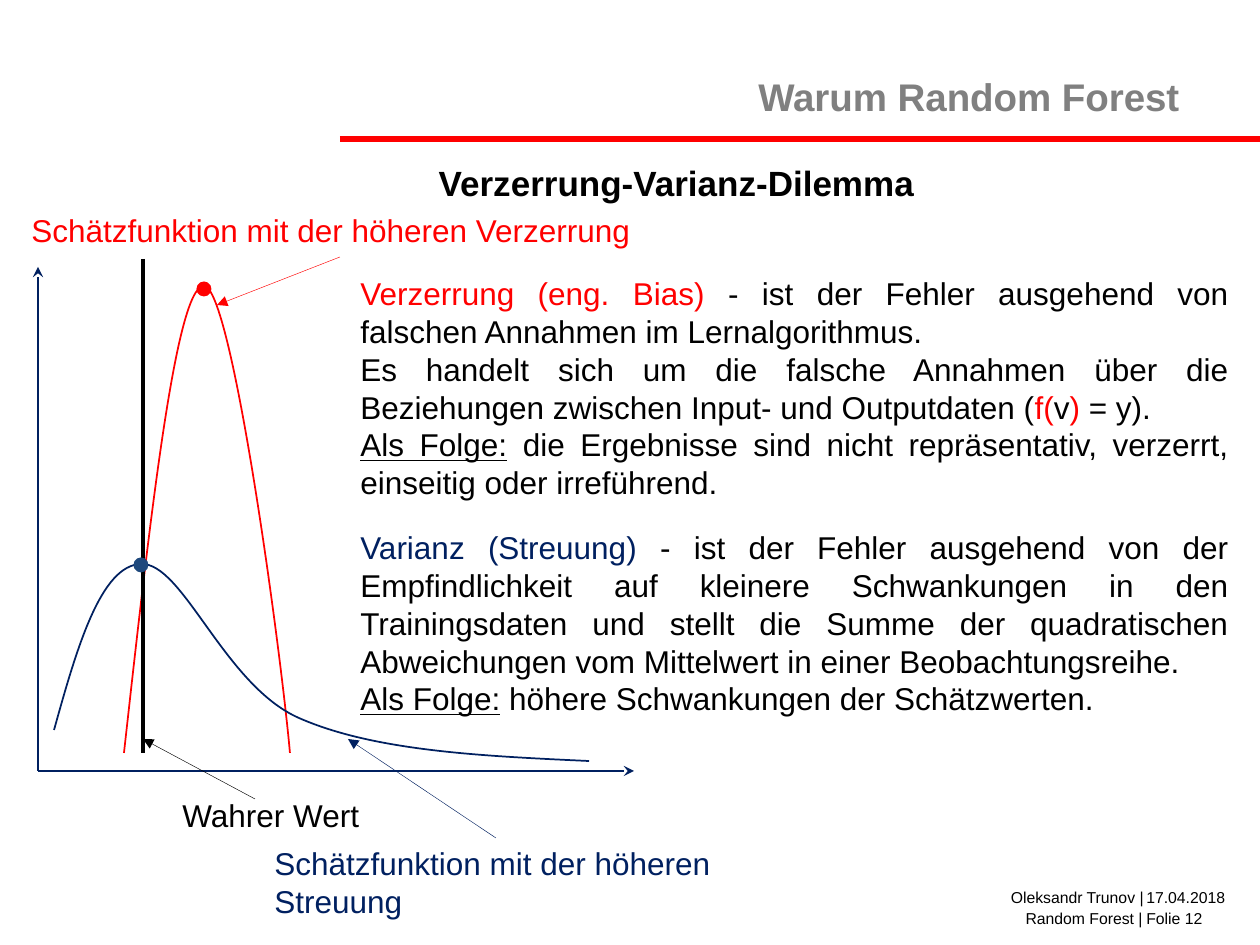
"""Build the slide on the bias-variance dilemma."""
from lxml import etree
from pptx import Presentation
from pptx.dml.color import RGBColor
from pptx.enum.shapes import MSO_CONNECTOR, MSO_SHAPE
from pptx.enum.text import MSO_ANCHOR, PP_ALIGN
from pptx.oxml.ns import qn
from pptx.util import Pt

PX = 914400 / 126
LEFT, RIGHT, CENTER, JUSTIFY = PP_ALIGN.LEFT, PP_ALIGN.RIGHT, PP_ALIGN.CENTER, PP_ALIGN.JUSTIFY
TOP, MIDDLE = MSO_ANCHOR.TOP, MSO_ANCHOR.MIDDLE
STRAIGHT, OVAL = MSO_CONNECTOR.STRAIGHT, MSO_SHAPE.OVAL
RED, NAVY, BLUE, BLACK, GRAY = "FF0000", "002060", "1F497D", "000000", "808080"

# box, size, anchor, paragraphs of (alignment, runs of (text, colour, style))
TEXTS = [
    ((682, 67, 510, 82), 22, TOP, [(RIGHT, [("Warum Random Forest", GRAY, "b")])]),
    ((1134, 882, 116, 25), 9, TOP, [(LEFT, [("17.04.2018", BLACK, "")])]),
    ((971, 882, 185, 25), 9, TOP, [(RIGHT, [("Oleksandr Trunov |", BLACK, "")])]),
    ((651, 906, 504, 25), 9, MIDDLE, [(RIGHT, [("Random Forest |", BLACK, "")])]),
    ((1134, 903, 116, 25), 9, TOP, [(LEFT, [("Folie 12", BLACK, "")])]),
    ((415, 155, 523, 55), 20, TOP, [(CENTER, [("Verzerrung-Varianz-Dilemma", BLACK, "b")])]),
    ((348, 268, 893, 280), 18, TOP, [
        (JUSTIFY, [
            ("Verzerrung (eng. Bias)", RED, ""),
            (" - ist der Fehler ausgehend von falschen Annahmen im Lernalgorithmus.", BLACK, "")]),
        (JUSTIFY, [
            ("Es handelt sich um die falsche Annahmen über die "
             "Beziehungen zwischen Input- und Outputdaten (", BLACK, ""),
            ("f(", RED, ""), ("v", BLACK, ""), (")", RED, ""), (" = y).", BLACK, "")]),
        (JUSTIFY, [
            ("Als Folge:", BLACK, "u"),
            (" die Ergebnisse sind nicht repräsentativ, verzerrt, "
             "einseitig oder irreführend.", BLACK, "")])]),
    ((348, 522, 893, 204), 18, TOP, [
        (JUSTIFY, [
            ("Varianz (Streuung) ", NAVY, ""),
            ("- ist der Fehler ausgehend von der Empfindlichkeit auf kleinere Schwankungen "
             "in den Trainingsdaten und stellt die Summe der quadratischen Abweichungen "
             "vom Mittelwert in einer Beobachtungsreihe.", BLACK, "")]),
        (LEFT, [
            ("Als Folge:", BLACK, "u"),
            (" höhere Schwankungen der Schätzwerten.", BLACK, "")])]),
    ((19, 205, 643, 50), 18, TOP,
     [(LEFT, [("Schätzfunktion mit der höheren Verzerrung", RED, "")])]),
    ((262, 838, 467, 89), 18, TOP,
     [(LEFT, [("Schätzfunktion mit der höheren Streuung", NAVY, "")])]),
    ((170, 790, 205, 50), 18, TOP, [(LEFT, [("Wahrer Wert", BLACK, "")])]),
]

# start, end, colour, width in points, arrowhead at the end
TITLE_RULE = ((340, 139), (1260, 139), RED, 4, None)
AXES = [((38, 771), (38, 267), NAVY, 0.75, "stealth"),
        ((38, 771), (634, 771), NAVY, 0.75, "stealth")]
TRUE_VALUE = ((143, 259), (143, 753), BLACK, 2.25, None)
POINTERS = [((340, 257), (217, 305), RED, 0.25, "triangle"),
            ((496, 838), (348, 739), NAVY, 0.25, "triangle"),
            ((255, 799), (143, 739), BLACK, 0.25, "triangle")]

# colour, start, cubic segments of (control, control, end)
CURVES = [
    (RED, (124, 753), [((150, 519), (176, 286), (204, 286)),
                       ((232, 286), (281, 651), (290, 753))]),
    (NAVY, (54, 730), [((77, 647), (101, 565), (141, 564)),
                       ((183, 562), (224, 685), (299, 718)),
                       ((374, 751), (481, 756), (589, 761))]),
]
# centre, colour
PEAKS = [((204, 289), RED), ((141, 565), BLUE)]
PEAK_SIZE = 15


def emu(*lengths):
    return [round(length * PX) for length in lengths]


def rgb(color):
    return RGBColor.from_string(color)


def add_text(slide, box, size, anchor, paragraphs):
    frame = slide.shapes.add_textbox(*emu(*box)).text_frame
    frame.word_wrap = True
    frame.vertical_anchor = anchor
    for index, (alignment, runs) in enumerate(paragraphs):
        paragraph = frame.add_paragraph() if index else frame.paragraphs[0]
        paragraph.alignment = alignment
        for text, color, style in runs:
            run = paragraph.add_run()
            run.text = text
            run.font.name = "Arial"
            run.font.size = Pt(size)
            run.font.color.rgb = rgb(color)
            run.font.bold = style == "b"
            run.font.underline = style == "u"


def add_line(slide, start, end, color, width, arrow):
    connector = slide.shapes.add_connector(STRAIGHT, *emu(*start, *end))
    connector.line.color.rgb = rgb(color)
    connector.line.width = Pt(width)
    if arrow:
        etree.SubElement(connector.line._get_or_add_ln(), qn("a:tailEnd"), type=arrow)
    etree.SubElement(connector._element.spPr, qn("a:effectLst"))


def add_curve(slide, color, start, segments):
    builder = slide.shapes.build_freeform(*start, scale=PX)
    builder.add_line_segments([segment[-1] for segment in segments], close=False)
    curve = builder.convert_to_shape()
    anchors = [start] + [segment[-1] for segment in segments]
    left, top = (min(values) for values in zip(*anchors))
    straight_parts = list(curve._element.iter(qn("a:lnTo")))
    for straight, segment in zip(straight_parts, segments):
        bezier = etree.Element(qn("a:cubicBezTo"))
        for x, y in segment:
            etree.SubElement(bezier, qn("a:pt"), x=str(x - left), y=str(y - top))
        straight.getparent().replace(straight, bezier)
    curve.fill.background()
    curve.line.color.rgb = rgb(color)
    curve.line.width = Pt(1)
    curve.shadow.inherit = False


def add_peak(slide, center, color):
    x, y = (value - PEAK_SIZE / 2 for value in center)
    peak = slide.shapes.add_shape(OVAL, *emu(x, y, PEAK_SIZE, PEAK_SIZE))
    peak.fill.solid()
    peak.fill.fore_color.rgb = rgb(color)
    peak.line.fill.background()
    peak.shadow.inherit = False


def main():
    presentation = Presentation()
    presentation.slide_width, presentation.slide_height = emu(1260, 945)
    slide = presentation.slides.add_slide(presentation.slide_layouts[6])
    add_line(slide, *TITLE_RULE)
    for text in TEXTS:
        add_text(slide, *text)
    for axis in AXES:
        add_line(slide, *axis)
    for curve in CURVES:
        add_curve(slide, *curve)
    for line in [TRUE_VALUE] + POINTERS:
        add_line(slide, *line)
    for peak in PEAKS:
        add_peak(slide, *peak)
    presentation.save("out.pptx")


if __name__ == "__main__":
    main()
